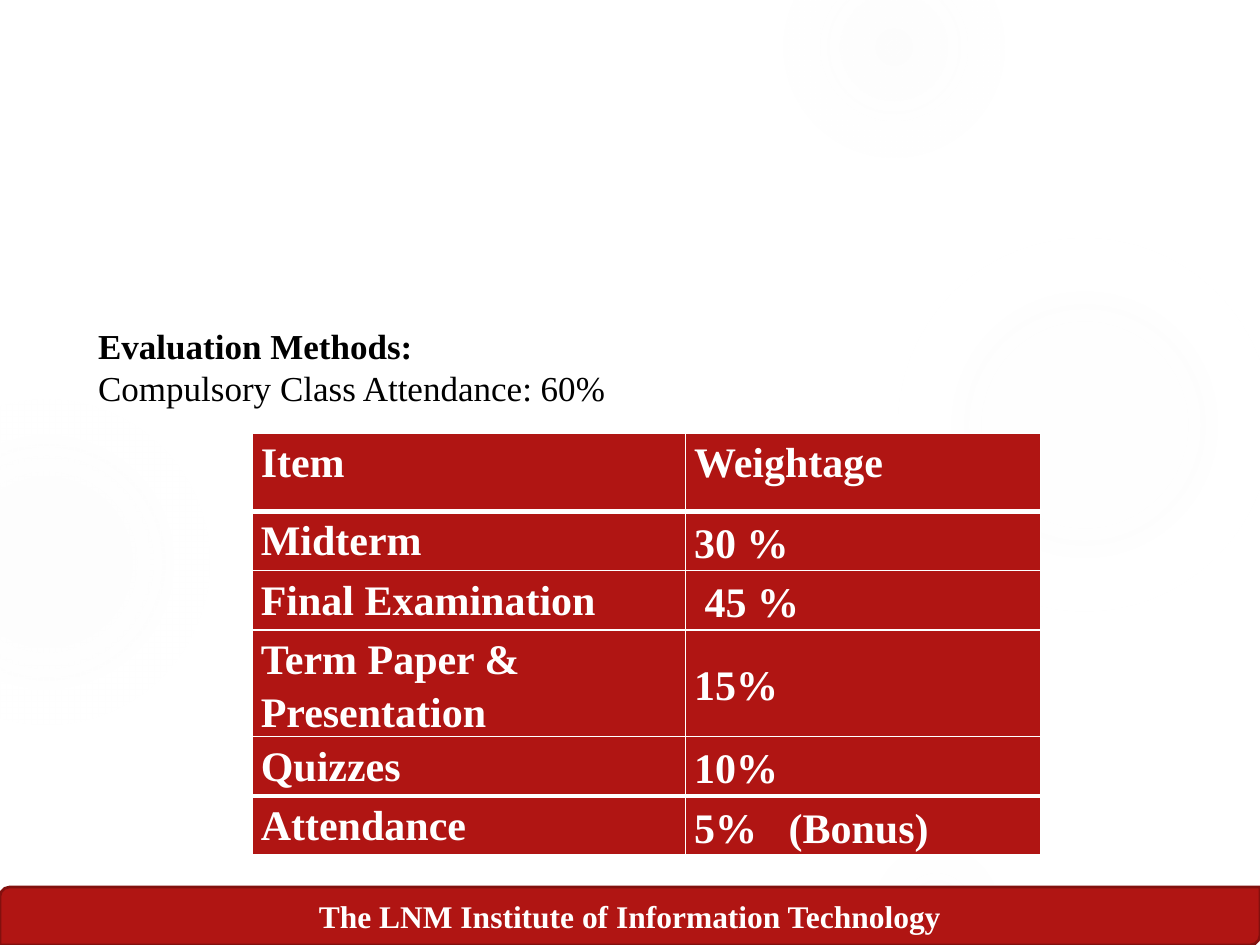
from pptx import Presentation
from pptx.dml.color import RGBColor
from pptx.enum.shapes import MSO_SHAPE as Shape
from pptx.enum.text import MSO_ANCHOR as Anchor, PP_ALIGN as Align
from pptx.oxml import parse_xml
from pptx.oxml.ns import nsdecls
from pptx.util import Pt

PX = 9144  # 100 px to the inch
FONT = "Times New Roman"
RED = RGBColor(0xB0, 0x15, 0x13)
DARK_RED = RGBColor(0x82, 0x10, 0x0E)
PALE = RGBColor(0xF3, 0xF3, 0xF3)
WHITE = RGBColor(0xFF, 0xFF, 0xFF)
BLACK = RGBColor(0x00, 0x00, 0x00)


def px(*lengths):
    return [length * PX for length in lengths]


def style(paragraph, size, color, bold=True):
    for span in paragraph.runs:
        span.font.name = FONT
        span.font.size = Pt(size)
        span.font.bold = bold
        span.font.color.rgb = color


deck = Presentation()
deck.slide_width, deck.slide_height = px(1000, 750)
page = deck.slides.add_slide(deck.slide_layouts[6])

# Faint background circles: left, top, diameter, (position, opacity) stops
circles = [
    (707, 183, 308, [(0, 7), (36, 6), (69, 0)]),
    (622, -50, 175, [(0, 14), (36, 7), (73, 0)]),
    (689, 667, 108, [(0, 9), (36, 5), (66, 0)]),
    (-92, 317, 258, [(0, 8), (36, 8), (72, 0)]),
]
for left, top, diameter, stops in circles:
    circle = page.shapes.add_shape(Shape.OVAL, *px(left, top, diameter, diameter))
    circle.shadow.inherit = False
    circle.line.fill.background()
    stop_xml = "".join(
        f'<a:gs pos="{position * 1000}"><a:srgbClr val="{PALE}">'
        f'<a:alpha val="{opacity * 1000}"/></a:srgbClr></a:gs>'
        for position, opacity in stops
    )
    gradient = parse_xml(
        f'<a:gradFill {nsdecls("a")}><a:gsLst>{stop_xml}</a:gsLst><a:path path="circle">'
        '<a:fillToRect l="50000" t="50000" r="50000" b="50000"/></a:path></a:gradFill>'
    )
    circle._element.spPr.insert(2, gradient)  # after position and geometry

# Footer bar
footer = page.shapes.add_shape(Shape.ROUND_2_DIAG_RECTANGLE, *px(0, 704, 1000, 46))
footer.shadow.inherit = False
footer.fill.solid()
footer.fill.fore_color.rgb = RED
footer.line.color.rgb = DARK_RED
footer.line.width = Pt(1.5)
footer.text_frame.text = "The LNM Institute of Information Technology"
footer.text_frame.vertical_anchor = Anchor.MIDDLE
footer.text_frame.paragraphs[0].alignment = Align.CENTER
style(footer.text_frame.paragraphs[0], 18, WHITE)

# Weightage table
rows = [
    ("Item", "Weightage"),
    ("Midterm", "30 %"),
    ("Final Examination", " 45 %"),
    ("Term Paper & Presentation", "15%"),
    ("Quizzes", "10%"),
    ("Attendance", "5%   (Bonus)"),
]
last = len(rows) - 1
table = page.shapes.add_table(len(rows), 2, *px(200, 344, 626, 297)).table
table.first_row = False
table.horz_banding = False
table.columns[0].width, table.columns[1].width = px(344, 282)
for row, texts in enumerate(rows):
    table.rows[row].height = (62 if row == 0 else 47) * PX
    top_line = 3 if row in (1, last) else 1
    bottom_line = 3 if row in (0, last - 1) else 1
    for column, text in enumerate(texts):
        cell = table.cell(row, column)
        cell.text_frame.text = text
        cell.margin_left, cell.margin_right = px(7, 7)
        cell.margin_top = cell.margin_bottom = 0
        cell.vertical_anchor = Anchor.MIDDLE if row and column else Anchor.TOP
        cell.text_frame.paragraphs[0].line_spacing = 1.15
        style(cell.text_frame.paragraphs[0], 24, WHITE)
        # Borders come before the fill in the cell properties
        borders = {"lnL": 1, "lnR": 1, "lnT": top_line, "lnB": bottom_line}
        for side, width in borders.items():
            cell._tc.get_or_add_tcPr().append(parse_xml(
                f'<a:{side} {nsdecls("a")} w="{Pt(width)}"><a:solidFill>'
                f'<a:srgbClr val="{WHITE}"/></a:solidFill></a:{side}>'
            ))
        cell.fill.solid()
        cell.fill.fore_color.rgb = RED

# Evaluation heading and attendance rule
box = page.shapes.add_textbox(*px(68, 252, 433, 77))
frame = box.text_frame
frame.word_wrap = False
frame.vertical_anchor = Anchor.MIDDLE
frame.text = "Evaluation Methods:\nCompulsory Class Attendance: 60%"
for paragraph, bold in zip(frame.paragraphs, (True, False)):
    style(paragraph, 20, BLACK, bold)

deck.save("out.pptx")
